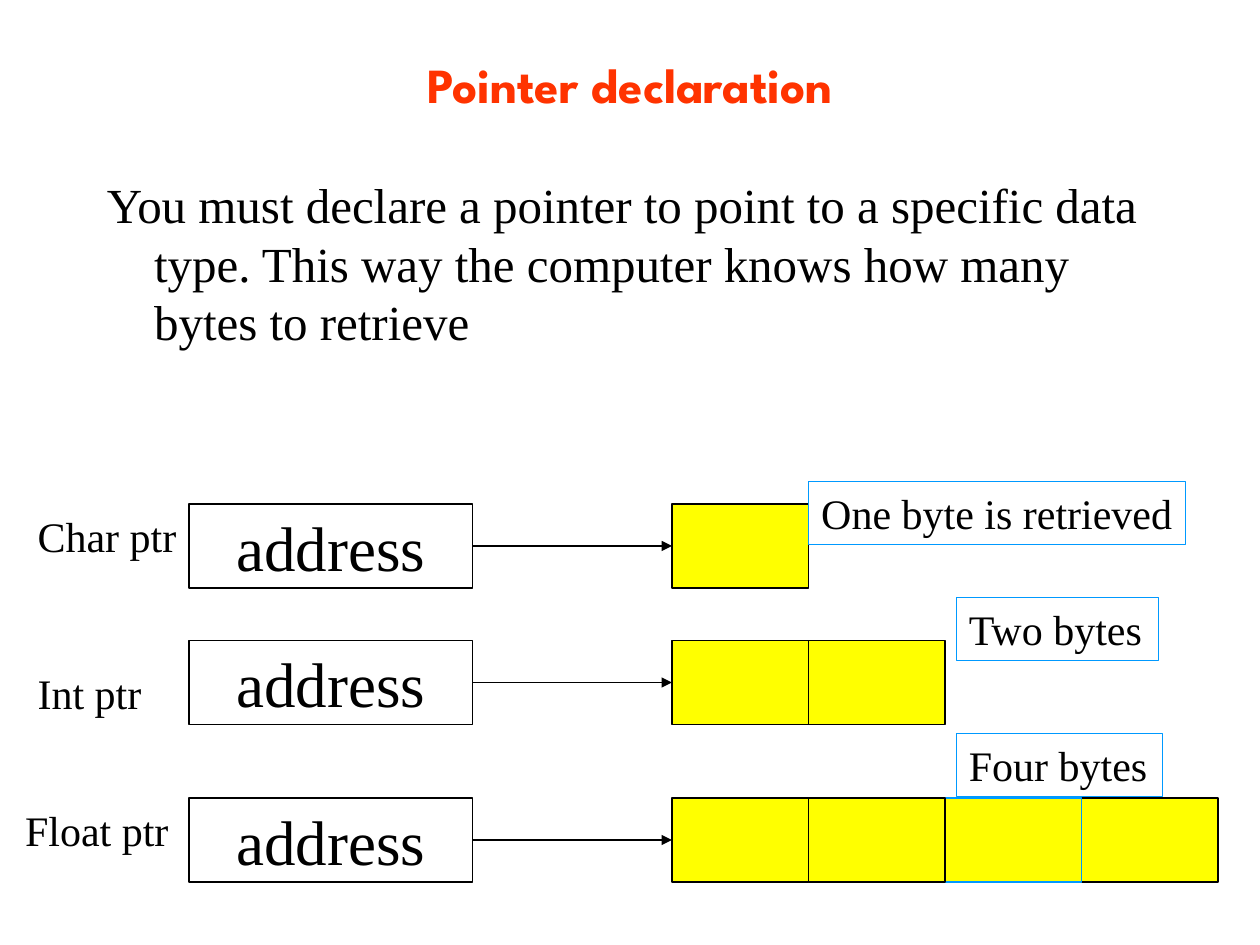
"""Build a slide on how a pointer's type sets the bytes retrieved."""
import dataclasses
import lxml.etree
import pptx
import pptx.dml.color
import pptx.enum.shapes
import pptx.enum.text
import pptx.oxml.ns
import pptx.util

Pt = pptx.util.Pt
Shape = pptx.enum.shapes.MSO_SHAPE
Align = pptx.enum.text.PP_ALIGN
Anchor = pptx.enum.text.MSO_ANCHOR
Fit = pptx.enum.text.MSO_AUTO_SIZE
qn = pptx.oxml.ns.qn

HUES = {"title": "FF3300", "ink": "000000", "box": "FFFFFF",
        "byte": "FFFF00", "note": "0099FF"}
SERIF = "Times New Roman"
BOX_X, BOX_W, ROW_H = 108, 162, 48
BYTE_X, BYTE_W = 384, 78
TAG_H = 36


@dataclasses.dataclass
class Tag:
    text: str
    x: float
    y: float
    w: float


@dataclasses.dataclass
class Row:
    y: float
    size: int
    label: Tag
    note: Tag


ROWS = [
    Row(288, 1, Tag("Char ptr", 14.4, 288, 95),
        Tag("One byte is retrieved", 462.2, 275.3, 215.5)),
    Row(366, 2, Tag("Int ptr", 14.4, 378, 76),
        Tag("Two bytes", 546.5, 341.3, 115.5)),
    Row(456, 4, Tag("Float ptr", 7.2, 456, 98),
        Tag("Four bytes", 546.5, 419.3, 118)),
]


def hue(name: str) -> pptx.dml.color.RGBColor:
    """Return a named colour."""
    return pptx.dml.color.RGBColor.from_string(HUES[name])


def write(shape, text: str, size: float, gap: float = 0, face: str = SERIF,
          ink: str = "ink", align=Align.LEFT):
    """Put one styled paragraph in a shape and return it."""
    para = shape.text_frame.paragraphs[0]
    para.text = text
    para.alignment = align
    para.space_before = Pt(gap)
    para.font.size = Pt(size)
    para.font.name = face
    para.font.color.rgb = hue(ink)
    return para


def edge(line, name: str) -> None:
    """Style an outline."""
    line.color.rgb = hue(name)
    line.width = Pt(0.75)


def draw_rect(slide, x: float, y: float, w: float, fill: str, rim: str = "ink"):
    """Draw a filled rectangle of row height."""
    rect = slide.shapes.add_shape(Shape.RECTANGLE, Pt(x), Pt(y), Pt(w), Pt(ROW_H))
    rect.shadow.inherit = False
    rect.fill.solid()
    rect.fill.fore_color.rgb = hue(fill)
    edge(rect.line, rim)
    return rect


def draw_tag(slide, tag: Tag, framed: bool = False) -> None:
    """Draw a short text, framed if it is a note."""
    box = slide.shapes.add_textbox(Pt(tag.x), Pt(tag.y), Pt(tag.w), Pt(TAG_H))
    box.text_frame.word_wrap = False
    box.text_frame.auto_size = Fit.SHAPE_TO_FIT_TEXT
    write(box, tag.text, 24, 6)
    if framed:
        edge(box.line, "note")


def draw_link(slide, start, end) -> None:
    """Draw an arrow from one rectangle's right side to another's left."""
    link = slide.shapes.add_connector(
        pptx.enum.shapes.MSO_CONNECTOR.STRAIGHT, 0, 0, 0, 0)
    link.begin_connect(start, 3)
    link.end_connect(end, 1)
    edge(link.line, "ink")
    line = link.line._get_or_add_ln()
    lxml.etree.SubElement(line, qn("a:tailEnd"), type="triangle")
    lxml.etree.SubElement(link._element.spPr, qn("a:effectLst"))


def draw_row(slide, row: Row) -> None:
    """Draw a pointer, its bytes and the arrow between them."""
    box = draw_rect(slide, BOX_X, row.y, BOX_W, "box")
    box.text_frame.word_wrap = False
    box.text_frame.vertical_anchor = Anchor.MIDDLE
    write(box, "address", 36, 9, align=Align.CENTER)
    for i in reversed(range(row.size)):
        rim = "note" if i == 2 else "ink"
        byte = draw_rect(slide, BYTE_X + i * BYTE_W, row.y, BYTE_W, "byte", rim)
    draw_link(slide, box, byte)
    draw_tag(slide, row.label)
    draw_tag(slide, row.note, framed=True)


def draw_head(slide) -> None:
    """Draw the title and the body text."""
    title = slide.shapes.title
    title.left, title.top, title.width, title.height = Pt(54), Pt(6), Pt(612), Pt(84)
    title.text_frame.vertical_anchor = Anchor.MIDDLE
    para = write(title, "Pointer declaration", 28, face="League Spartan",
                 ink="title", align=Align.CENTER)
    para.font.bold = True
    body = slide.shapes.add_textbox(Pt(54), Pt(96), Pt(612), Pt(414))
    body.text_frame.word_wrap = True
    para = write(body, "You must declare a pointer to point to a specific data type. "
                 "This way the computer knows how many bytes to retrieve", 28, 7)
    props = para._p.get_or_add_pPr()
    props.set("marL", str(Pt(27)))
    props.set("indent", str(Pt(-27)))


def main() -> None:
    """Build and save the slide."""
    deck = pptx.Presentation()
    deck.slide_width, deck.slide_height = Pt(720), Pt(540)
    slide = deck.slides.add_slide(deck.slide_layouts[5])
    draw_head(slide)
    for row in ROWS:
        draw_row(slide, row)
    deck.save("out.pptx")


if __name__ == "__main__":
    main()
